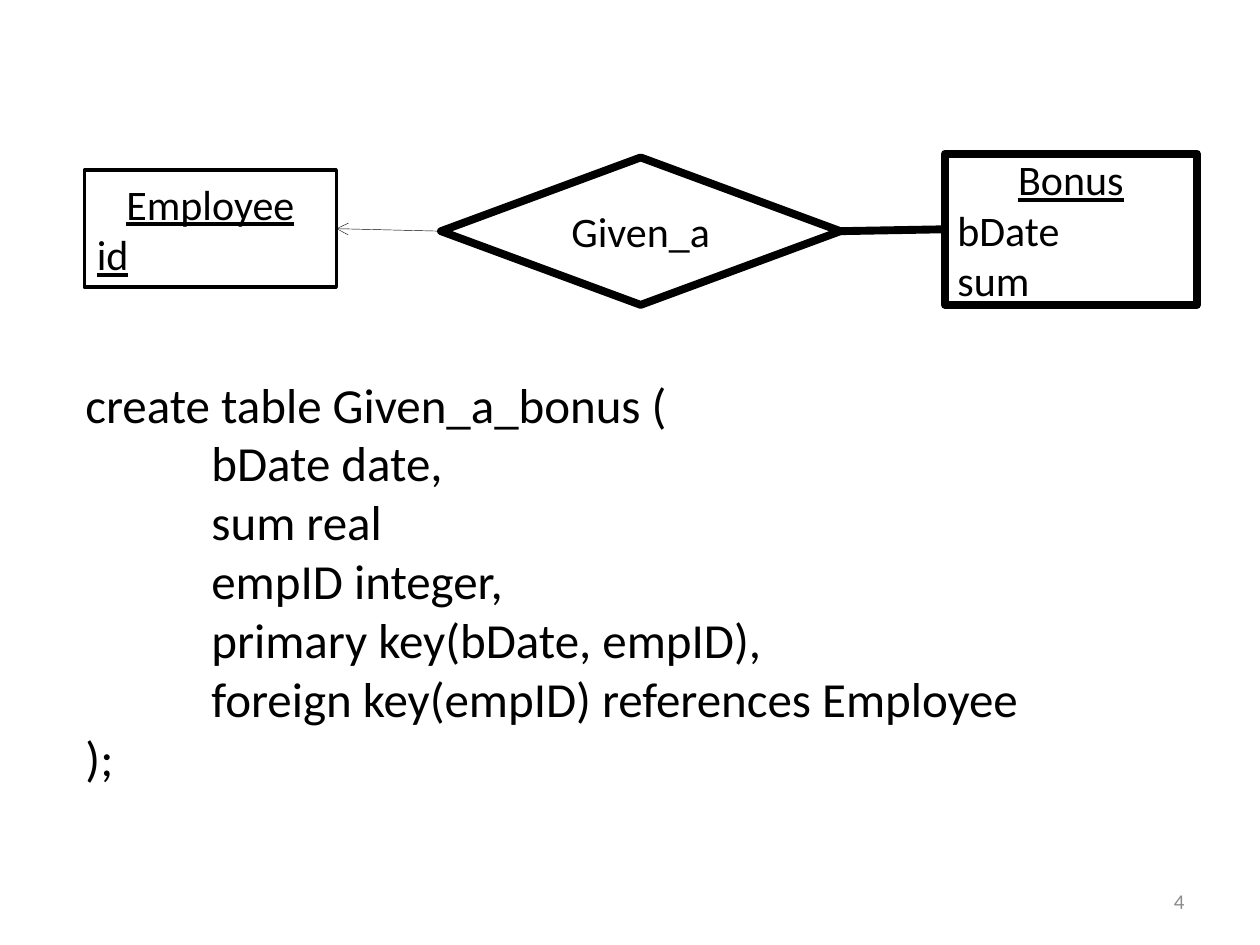
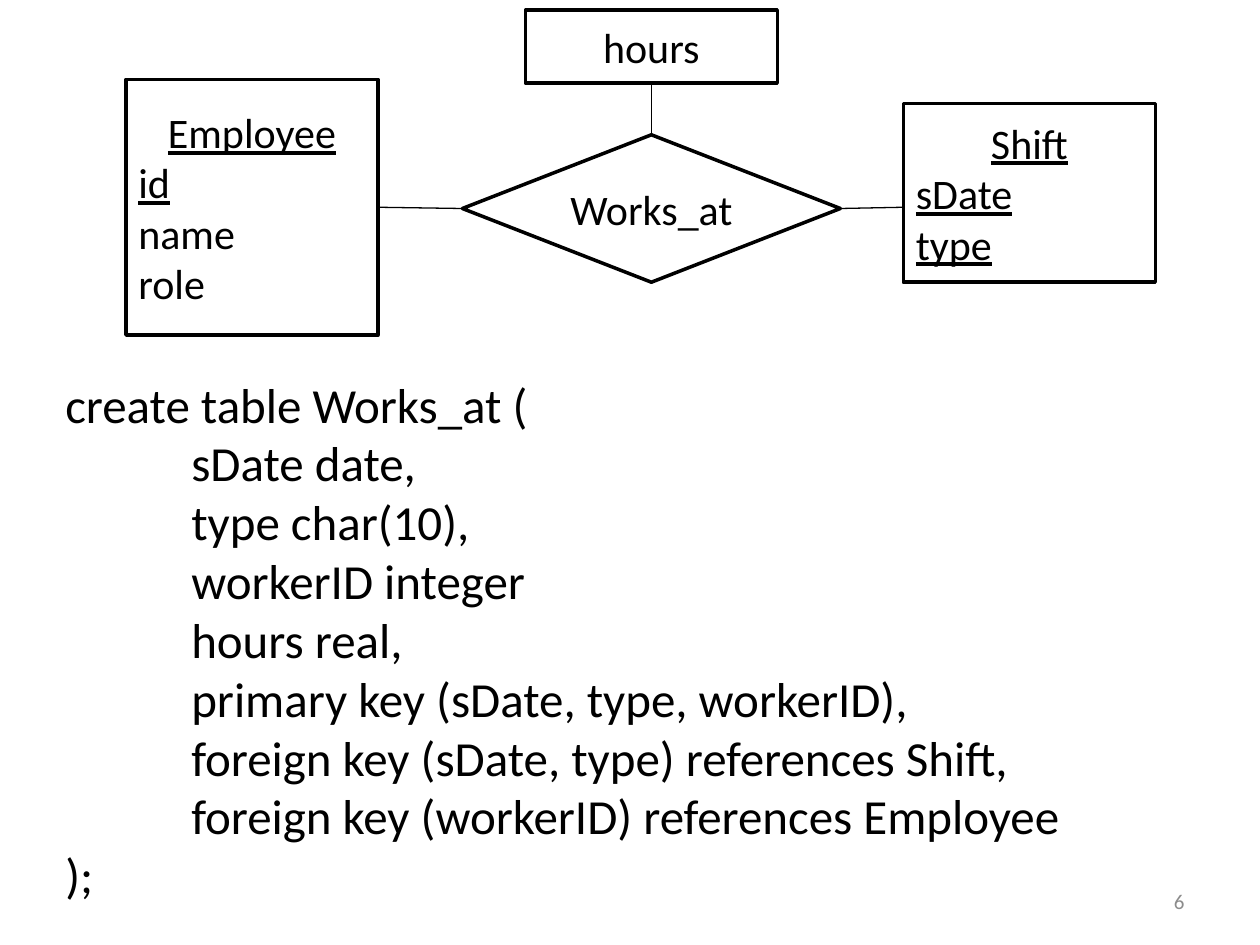
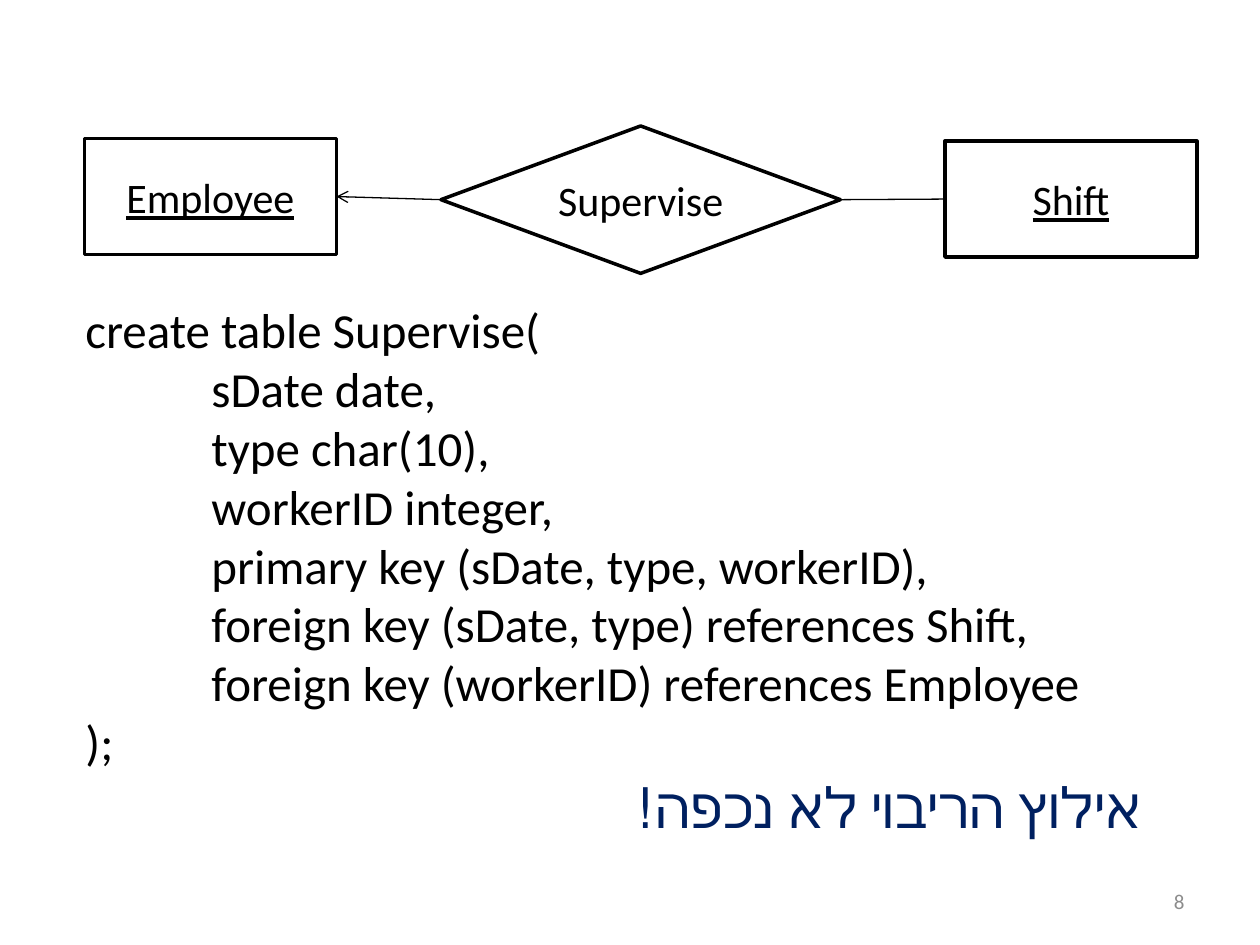
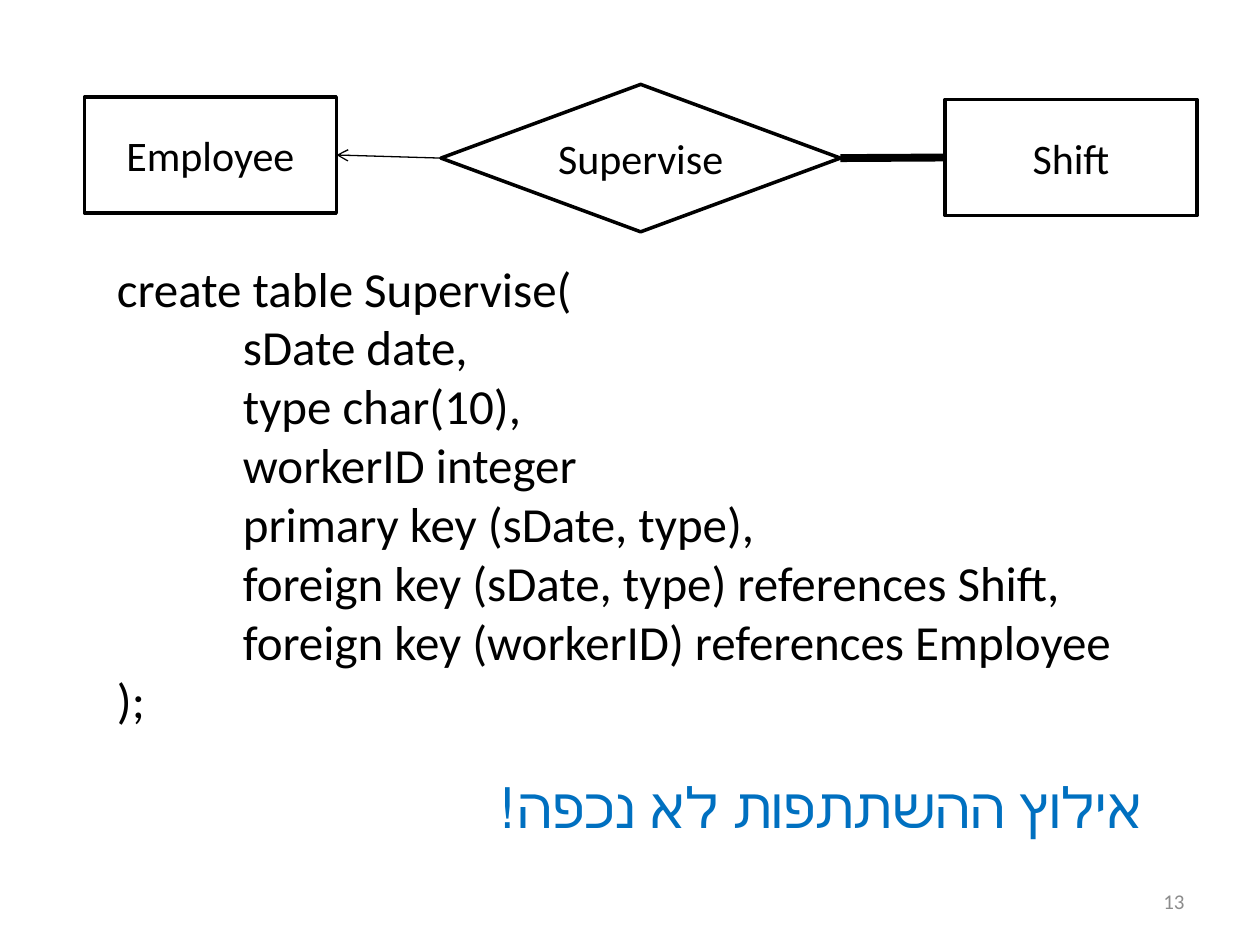
from dataclasses import dataclass

from lxml import etree
from pptx import Presentation
from pptx import util as u
from pptx.dml.color import RGBColor
from pptx.enum import lang, shapes, text
from pptx.oxml.ns import qn

PX = u.Inches(1) // 100  # 100 px to the inch


# Theme
@dataclass(frozen=True)
class Theme:
    font: str = "Calibri"
    ink: str = "000000"
    muted: str = "8C8C8C"
    navy: str = "002060"
    blue: str = "0070C0"
    number_size: int = 12
    label_size: int = 24
    code_size: int = 28
    remark_size: int = 32
    hairline: float = 0.25
    thin: float = 0.75
    outline: float = 2
    bold: float = 4.5
    code_tab: int = 100


THEME = Theme()
LEFT, CENTER, RIGHT = text.PP_ALIGN.LEFT, text.PP_ALIGN.CENTER, text.PP_ALIGN.RIGHT
RECTANGLE = shapes.MSO_SHAPE.RECTANGLE
DECISION = shapes.MSO_SHAPE.FLOWCHART_DECISION
# Connection sites shared by rectangles and diamonds
TOP_SITE, LEFT_SITE, BOTTOM_SITE, RIGHT_SITE = range(4)


# Parts of a slide
@dataclass(frozen=True)
class Area:
    left: int
    top: int
    width: int
    height: int

    def emu(self) -> list[int]:
        return [px * PX for px in (self.left, self.top, self.width, self.height)]


@dataclass(frozen=True)
class Node:
    name: str
    area: Area
    attributes: tuple[str, ...] = ()
    underlined: tuple[str, ...] = ()
    kind: int = RECTANGLE
    weight: float = THEME.outline


@dataclass(frozen=True)
class Link:
    start: str
    start_site: int
    end: str
    end_site: int
    weight: float = THEME.thin
    arrow: bool = False
    level: bool = False  # meets the left edge of the end at the height of the start


@dataclass(frozen=True)
class Code:
    area: Area
    table: str
    columns: tuple[str, ...]
    ending: str = ");\t"


@dataclass(frozen=True)
class Remark:
    area: Area
    words: str
    color: str


@dataclass(frozen=True)
class Page:
    number: int
    nodes: tuple[Node, ...]
    links: tuple[Link, ...]
    code: Code
    remark: Remark | None = None


# Drawing
def format_para(para, size: int, color: str = THEME.ink, align=LEFT,
                underline: bool = False) -> None:
    para.alignment = align
    for span in para.runs:
        span.font.name = THEME.font
        span.font.size = u.Pt(size)
        span.font.color.rgb = RGBColor.from_string(color)
        if underline:
            span.font.underline = True


def add_text(slide, area: Area, lines: list[str], size: int,
             color: str = THEME.ink, align=LEFT):
    box = slide.shapes.add_textbox(*area.emu())
    frame = box.text_frame
    frame.word_wrap = True
    frame.text = "\n".join(lines)
    for para in frame.paragraphs:
        format_para(para, size, color, align)
    return box


def add_number(slide, number: int) -> None:
    box = add_text(slide, Area(717, 695, 233, 40), [str(number)],
                   THEME.number_size, THEME.muted, RIGHT)
    box.text_frame.vertical_anchor = text.MSO_ANCHOR.MIDDLE


def add_node(slide, node: Node):
    shape = slide.shapes.add_shape(node.kind, *node.area.emu())
    shape.shadow.inherit = False
    shape.fill.background()
    shape.line.color.rgb = RGBColor.from_string(THEME.ink)
    shape.line.width = u.Pt(node.weight)
    frame = shape.text_frame
    frame.vertical_anchor = text.MSO_ANCHOR.MIDDLE
    frame.text = "\n".join((node.name, *node.attributes))
    for index, para in enumerate(frame.paragraphs):
        format_para(para, THEME.label_size, align=LEFT if index else CENTER,
                    underline=para.text in node.underlined)
    return shape


def add_link(slide, link: Link, drawn: dict) -> None:
    line = slide.shapes.add_connector(shapes.MSO_CONNECTOR.STRAIGHT, 0, 0, 0, 0)
    line.begin_connect(drawn[link.start], link.start_site)
    if link.level:
        line.end_x, line.end_y = drawn[link.end].left, line.begin_y - PX
    else:
        line.end_connect(drawn[link.end], link.end_site)
    line.line.color.rgb = RGBColor.from_string(THEME.ink)
    line.line.width = u.Pt(link.weight)
    if link.arrow:
        etree.SubElement(line.line._get_or_add_ln(), qn("a:tailEnd"), type="arrow")
    etree.SubElement(line._element.spPr, qn("a:effectLst"))


def add_code(slide, code: Code) -> None:
    lines = [f"create table {code.table}", *(f"\t{column}" for column in code.columns),
             code.ending]
    box = add_text(slide, code.area, lines, THEME.code_size)
    box.text_frame.auto_size = text.MSO_AUTO_SIZE.SHAPE_TO_FIT_TEXT
    for para in box.text_frame.paragraphs:
        stops = etree.SubElement(para._p.get_or_add_pPr(), qn("a:tabLst"))
        etree.SubElement(stops, qn("a:tab"), pos=str(THEME.code_tab * PX), algn="l")


def add_remark(slide, remark: Remark) -> None:
    box = add_text(slide, remark.area, [remark.words], THEME.remark_size,
                   remark.color, RIGHT)
    box.text_frame.auto_size = text.MSO_AUTO_SIZE.SHAPE_TO_FIT_TEXT
    para = box.text_frame.paragraphs[0]
    para._p.get_or_add_pPr().set("rtl", "1")
    para.runs[0].font.language_id = lang.MSO_LANGUAGE_ID.HEBREW


def draw_page(deck, page: Page) -> None:
    slide = deck.slides.add_slide(deck.slide_layouts[6])
    add_number(slide, page.number)
    drawn = {node.name: add_node(slide, node) for node in page.nodes}
    for link in page.links:
        add_link(slide, link, drawn)
    add_code(slide, page.code)
    if page.remark:
        add_remark(slide, page.remark)


# Shared diagram rules
def side_links(left: str, relation: str, right: str, arrow: bool = True,
               left_weight: float = THEME.thin, right_weight: float = THEME.thin,
               level: bool = False) -> tuple[Link, ...]:
    return (Link(relation, LEFT_SITE, left, RIGHT_SITE, left_weight, arrow),
            Link(relation, RIGHT_SITE, right, LEFT_SITE, right_weight, level=level))


def supervise_nodes(top: int, underlined: tuple[str, ...] = ()) -> tuple[Node, ...]:
    return (Node("Employee", Area(67, top + 10, 200, 92), underlined=underlined),
            Node("Shift", Area(750, top + 12, 200, 92), underlined=underlined),
            Node("Supervise", Area(350, top, 317, 117), kind=DECISION))


SHIFT_KEYS = ("foreign key (sDate, type) references Shift,",
              "foreign key (workerID) references Employee")
SHIFT_COLUMNS = ("sDate date,", "type char(10),")

# Content
PAGES = (
    Page(4,
         (Node("Employee", Area(67, 135, 200, 93), ("id",), ("Employee", "id")),
          Node("Bonus", Area(750, 122, 200, 120), ("bDate", "sum"), ("Bonus",),
               weight=THEME.bold),
          Node("Given_a", Area(350, 125, 317, 117), kind=DECISION, weight=THEME.bold)),
         side_links("Employee", "Given_a", "Bonus", left_weight=THEME.hairline,
                    right_weight=THEME.bold),
         Code(Area(58, 292, 883, 340), "Given_a_bonus (",
              ("bDate date,", "sum real", "empID integer,", "primary key(bDate, empID),",
               "foreign key(empID) references Employee"), ");")),
    Page(6,
         (Node("Works_at", Area(367, 107, 300, 117), kind=DECISION),
          Node("Employee", Area(100, 63, 200, 203), ("id", "name", "role"),
               ("Employee", "id")),
          Node("Shift", Area(717, 82, 200, 142), ("sDate", "type"),
               ("Shift", "sDate", "type")),
          Node("hours", Area(417, 8, 200, 58))),
         (*side_links("Employee", "Works_at", "Shift", arrow=False, level=True),
          Link("hours", BOTTOM_SITE, "Works_at", TOP_SITE)),
         Code(Area(42, 292, 867, 434), "Works_at (",
              (*SHIFT_COLUMNS, "workerID integer", "hours real,",
               "primary key (sDate, type, workerID),", *SHIFT_KEYS))),
    Page(8,
         supervise_nodes(100, ("Employee", "Shift")),
         side_links("Employee", "Supervise", "Shift"),
         Code(Area(58, 233, 867, 387), "Supervise(",
              (*SHIFT_COLUMNS, "workerID integer,",
               "primary key (sDate, type, workerID),", *SHIFT_KEYS)),
         Remark(Area(483, 608, 433, 64), "אילוץ הריבוי לא נכפה!", THEME.navy)),
    Page(13,
         supervise_nodes(67),
         side_links("Employee", "Supervise", "Shift", right_weight=THEME.bold),
         Code(Area(83, 200, 867, 387), "Supervise(",
              (*SHIFT_COLUMNS, "workerID integer", "primary key (sDate, type),",
               *SHIFT_KEYS)),
         Remark(Area(367, 608, 550, 64), "אילוץ ההשתתפות לא נכפה!", THEME.blue)),
)


def main() -> None:
    deck = Presentation()
    deck.slide_width, deck.slide_height = 1000 * PX, 750 * PX
    for page in PAGES:
        draw_page(deck, page)
    deck.save("out.pptx")


if __name__ == "__main__":
    main()
